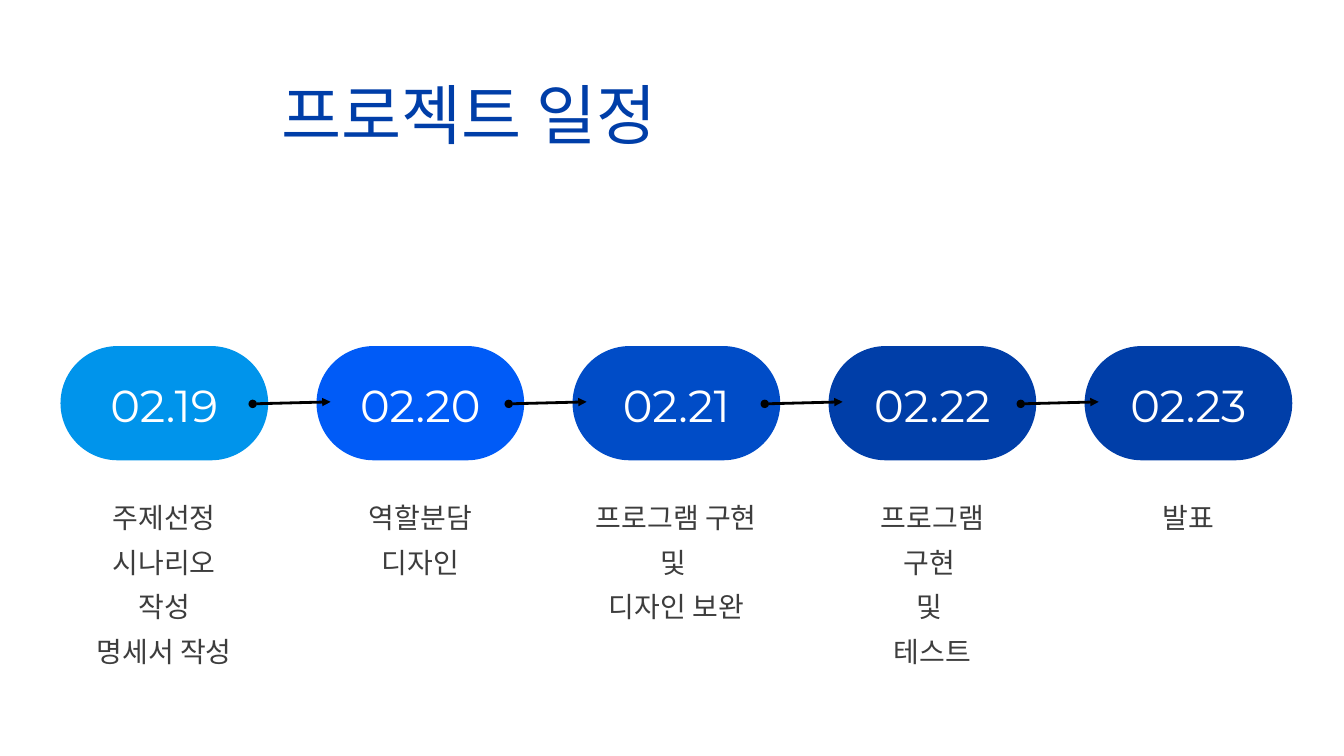
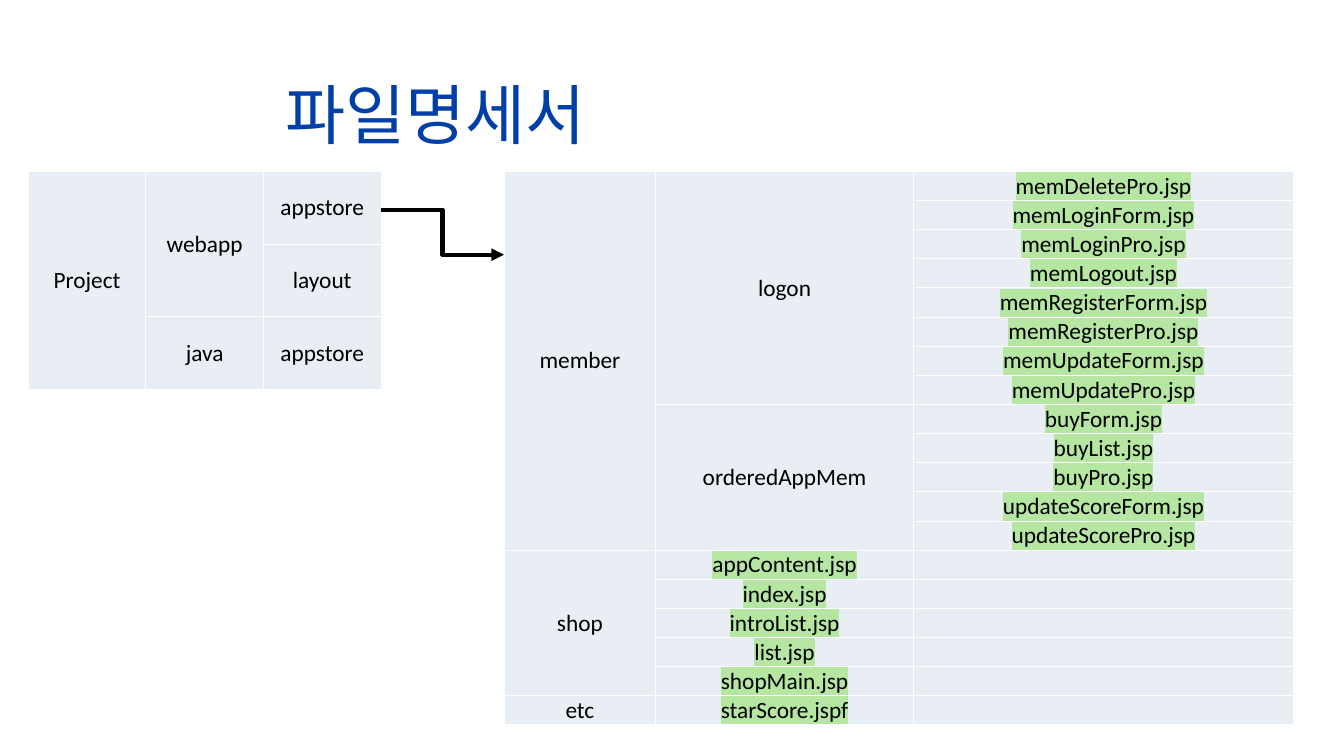
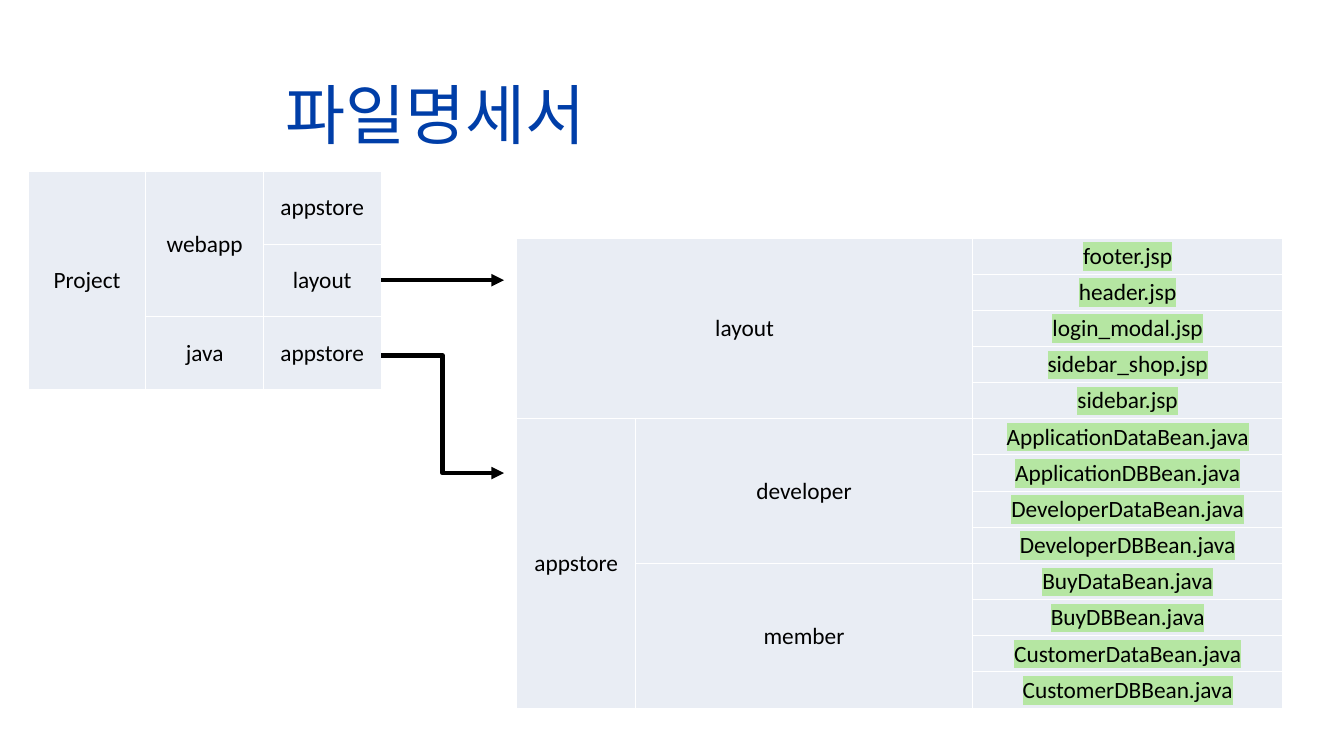
from lxml.etree import SubElement
from pptx import Presentation
from pptx.dml.color import RGBColor
from pptx.enum.shapes import MSO_CONNECTOR, MSO_SHAPE
from pptx.enum.text import MSO_ANCHOR, MSO_AUTO_SIZE, PP_ALIGN
from pptx.oxml.ns import qn
from pptx.util import Inches, Pt

NAVY = RGBColor(0x00, 0x3E, 0xA8)
BLUE = RGBColor(0x00, 0x4C, 0xC7)
BRIGHT_BLUE = RGBColor(0x00, 0x5B, 0xF7)
SKY = RGBColor(0x00, 0x94, 0xEB)
GRAY = RGBColor(0x3D, 0x3D, 0x3D)
BLACK = RGBColor(0x00, 0x00, 0x00)
WHITE = RGBColor(0xFF, 0xFF, 0xFF)
CELL_FILL = RGBColor(0xE9, 0xED, 0xF4)
FILE_MARK = RGBColor(0xB5, 0xE6, 0xA2)

LATIN_FONT = "Calibri"
KOREAN_FONT = "Noto Sans CJK KR"
DATE_FONT = "Montserrat"

TITLE_ONLY = 5
STEP_LEFT, STEP_PITCH = 0.9, 3.81
PILL_TOP, PILL_WIDTH, PILL_HEIGHT = 5.15, 3.09, 1.7
CAPTION_TOP = 7.29
TREE_LEFT, TREE_TOP, TREE_COLUMN, TREE_ROW = 0.42, 2.55, 1.75, 1.08
TREE_RIGHT = TREE_LEFT + 3 * TREE_COLUMN
ARROW_END = 7.5

STEPS = [
    ("02.19", SKY, 2.36, ["주제선정", "시나리오 작성", "명세서 작성"]),
    ("02.20", BRIGHT_BLUE, 2.36, ["역할분담", "디자인"]),
    ("02.21", BLUE, 2.4, ["프로그램 구현 ", "및 ", "디자인 보완"]),
    ("02.22", NAVY, 2.36, ["프로그램 구현 ", "및 ", "테스트"]),
    ("02.23", NAVY, 2.36, ["발표"]),
]

LOGON_FILES = ["memDeletePro.jsp", "memLoginForm.jsp", "memLoginPro.jsp", "memLogout.jsp",
               "memRegisterForm.jsp", "memRegisterPro.jsp", "memUpdateForm.jsp",
               "memUpdatePro.jsp"]
ORDER_FILES = ["buyForm.jsp", "buyList.jsp", "buyPro.jsp", "updateScoreForm.jsp",
               "updateScorePro.jsp"]
SHOP_FILES = ["appContent.jsp", "index.jsp", "introList.jsp", "list.jsp", "shopMain.jsp"]
LAYOUT_FILES = ["footer.jsp", "header.jsp", "login_modal.jsp", "sidebar_shop.jsp",
                "sidebar.jsp"]
DEVELOPER_FILES = ["ApplicationDataBean.java", "ApplicationDBBean.java",
                   "DeveloperDataBean.java", "DeveloperDBBean.java"]
MEMBER_FILES = ["BuyDataBean.java", "BuyDBBean.java", "CustomerDataBean.java",
                "CustomerDBBean.java"]


def single_cells(names):
    return [(name, 1, 1) for name in names]


PROJECT_TREE = [
    [("Project", 3, 1)],
    [("webapp", 2, 1), ("java", 1, 1)],
    single_cells(["appstore", "layout", "appstore"]),
]
WEB_TREE = [
    [("member", 13, 1), ("shop", 5, 1), ("etc", 1, 1)],
    [("logon", 8, 1), ("orderedAppMem", 5, 1)] + single_cells(SHOP_FILES + ["starScore.jspf"]),
    single_cells(LOGON_FILES + ORDER_FILES),
]
JAVA_TREE = [
    [("layout", 5, 2), ("appstore", 8, 1)],
    [(None, 5, 1), ("developer", 4, 1), ("member", 4, 1)],
    single_cells(LAYOUT_FILES + DEVELOPER_FILES + MEMBER_FILES),
]


def style_text(frame, size, color, font, spacing=None):
    for para in frame.paragraphs:
        para.alignment = PP_ALIGN.CENTER
        if spacing:
            para.line_spacing = Pt(spacing)
        for span in para.runs:
            span.font.size = Pt(size)
            span.font.color.rgb = color
            span.font.name = font
            SubElement(span.font._element, qn("a:ea"), typeface=KOREAN_FONT)


def plain_frame(frame, anchor=MSO_ANCHOR.TOP):
    frame.margin_left = frame.margin_right = frame.margin_top = frame.margin_bottom = 0
    frame.word_wrap = True
    frame.auto_size = MSO_AUTO_SIZE.NONE
    frame.vertical_anchor = anchor


def add_page(deck, title, left, font):
    page = deck.slides.add_slide(deck.slide_layouts[TITLE_ONLY])
    box = page.shapes.title
    box.left, box.top = Inches(left), Inches(1.04)
    box.width, box.height = Inches(9.27), Inches(1.25)
    box.text_frame.text = title
    plain_frame(box.text_frame)
    style_text(box.text_frame, 70, NAVY, font, 88.9)
    return page


def add_pill(page, left, date, color):
    pill = page.shapes.add_shape(MSO_SHAPE.ROUNDED_RECTANGLE, Inches(left), Inches(PILL_TOP),
                                 Inches(PILL_WIDTH), Inches(PILL_HEIGHT))
    pill.adjustments[0] = 0.5
    pill.shadow.inherit = False
    pill.fill.solid()
    pill.fill.fore_color.rgb = color
    pill.line.fill.background()
    pill.text_frame.text = date
    plain_frame(pill.text_frame, MSO_ANCHOR.MIDDLE)
    style_text(pill.text_frame, 48, WHITE, DATE_FONT, 61)


def add_caption(page, center, width, lines):
    box = page.shapes.add_textbox(Inches(center - width / 2), Inches(CAPTION_TOP),
                                  Inches(width), Inches(0.66 * len(lines)))
    box.text_frame.text = "\n".join(lines)
    plain_frame(box.text_frame)
    style_text(box.text_frame, 30, GRAY, LATIN_FONT, 47.7)


def add_arrow(page, start, end, width, kind=MSO_CONNECTOR.STRAIGHT, head=None):
    arrow = page.shapes.add_connector(kind, *(Inches(value) for value in start + end))
    arrow.line.color.rgb = BLACK
    arrow.line.width = Pt(width)
    line = arrow.line._get_or_add_ln()
    if head:
        SubElement(line, qn("a:headEnd"), type=head)
    SubElement(line, qn("a:tailEnd"), type="triangle")
    SubElement(arrow._element.spPr, qn("a:effectLst"))


def format_cell(cell):
    cell.margin_left = cell.margin_right = cell.margin_top = Inches(0.01)
    cell.margin_bottom = 0
    cell.vertical_anchor = MSO_ANCHOR.MIDDLE
    properties = cell._tc.get_or_add_tcPr()
    for side in ("lnL", "lnR", "lnT", "lnB"):
        border = SubElement(properties, qn(f"a:{side}"), w=str(Pt(1)))
        fill = SubElement(border, qn("a:solidFill"))
        SubElement(fill, qn("a:srgbClr"), val=str(WHITE))
    cell.fill.solid()
    cell.fill.fore_color.rgb = CELL_FILL


def mark_file(span):
    mark = SubElement(span.font._element, qn("a:highlight"))
    SubElement(mark, qn("a:srgbClr"), val=str(FILE_MARK))
    span.font._element.find(qn("a:solidFill")).addnext(mark)


def write_cell(cell, text):
    cell.text_frame.text = text
    style_text(cell.text_frame, 25, BLACK, LATIN_FONT)
    if "." in text:
        mark_file(cell.text_frame.paragraphs[0].runs[0])


def add_tree(page, left, top, widths, row_height, columns):
    row_count = sum(height for _, height, _ in columns[0])
    table = page.shapes.add_table(row_count, len(columns), Inches(left), Inches(top),
                                  Inches(sum(widths)), Inches(row_height * row_count)).table
    table.first_row = table.horz_banding = False
    for column, width in zip(table.columns, widths):
        column.width = Inches(width)
    for row in table.rows:
        row.height = Inches(row_height)
    for cell in table.iter_cells():
        format_cell(cell)
    for column, entries in enumerate(columns):
        row = 0
        for text, height, width in entries:
            if text:
                cell = table.cell(row, column)
                if height * width > 1:
                    cell.merge(table.cell(row + height - 1, column + width - 1))
                write_cell(cell, text)
            row += height


def add_schedule(deck):
    page = add_page(deck, "프로젝트 일정", 2.34, LATIN_FONT)
    lefts = [STEP_LEFT + STEP_PITCH * index for index in range(len(STEPS))]
    for left, (date, color, width, lines) in zip(lefts, STEPS):
        add_pill(page, left, date, color)
        add_caption(page, left + PILL_WIDTH / 2, width, lines)
    for left in lefts[:-1]:
        add_arrow(page, (left + 2.86, 6.01), (left + 4.02, 5.98), 3, head="oval")


def add_file_page(deck):
    page = add_page(deck, "파일명세서", 1.85, KOREAN_FONT)
    add_tree(page, TREE_LEFT, TREE_TOP, [TREE_COLUMN] * 3, TREE_ROW, PROJECT_TREE)
    return page


def main():
    deck = Presentation()
    deck.slide_width, deck.slide_height = Inches(20), Inches(11.25)
    add_schedule(deck)

    web_page = add_file_page(deck)
    add_arrow(web_page, (TREE_RIGHT, 3.12), (ARROW_END, 3.79), 4.5, MSO_CONNECTOR.ELBOW)
    add_tree(web_page, ARROW_END, TREE_TOP, [2.26, 3.83, 5.66], 8.24 / 19, WEB_TREE)

    java_page = add_file_page(deck)
    add_arrow(java_page, (TREE_RIGHT, 5.29), (ARROW_END, 7.04), 4.5, MSO_CONNECTOR.ELBOW)
    add_arrow(java_page, (TREE_RIGHT, 4.17), (ARROW_END, 4.17), 4.5)
    add_tree(java_page, 7.69, 3.54, [1.77, 5.01, 4.62], 7 / 13, JAVA_TREE)

    deck.save("out.pptx")


if __name__ == "__main__":
    main()
